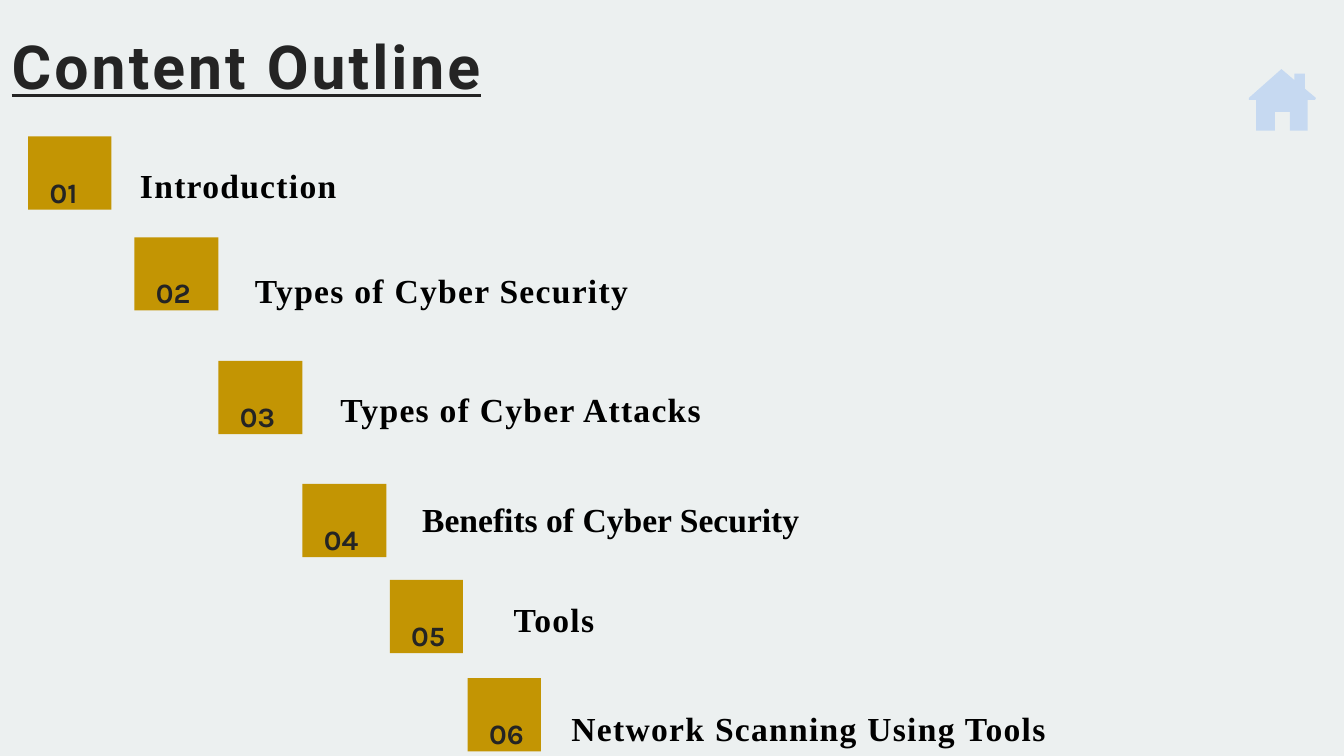
import pptx
import pptx.dml.color
import pptx.enum.shapes
import pptx.enum.text
import pptx.util

Pt = pptx.util.Pt
BACKGROUND = "ECF0F0"
GOLD = "C39503"
DARK = "242424"
PALE_BLUE = "C6D9F1"
BADGE_HEIGHT = 78.5

# badge left, top, width; label left, top, width, height, inset (left, top),
# line spacing, letter spacing; text
ITEMS = [
    ((30.2, 146.2, 89.3), (149, 154.8, 511, 57.6), (1, 0), 1.5, 1.4,
     "Introduction"),
    ((144, 254.2, 90), (272.2, 267.8, 511, 57.6), (1, 0), 1.5, 1.4,
     "Types of Cyber Security"),
    ((234, 386.6, 90), (363.6, 394.6, 481, 58.3), (1, 0.7), 1.5, 1.4,
     "Types of Cyber Attacks"),
    ((324, 518.4, 90), (451.4, 533.5, 414.7, 87.8), (1, 0.7), 1, 0,
     "Benefits of Cyber Security"),
    ((417.6, 621.4, 78.5), (549.4, 640.8, 152.6, 84.2), (1, 0.7), 1, 1.4,
     "Tools"),
    ((501.1, 726.5, 78.5), (604.1, 733.7, 542.2, 64.8), (8.2, 3.6), 1.5, 1.4,
     "Network Scanning Using Tools"),
]

HOUSE = [
    (1401.1, 139.7), (1381.7, 139.7), (1381.7, 120.2), (1365.8, 120.2),
    (1365.8, 139.7), (1346.4, 139.7), (1346.4, 106.6), (1338.5, 106.6),
    (1337.8, 105.1), (1373.4, 74.2), (1386.7, 85.7), (1386.7, 79.2),
    (1397.5, 79.2), (1397.5, 95), (1409.8, 105.1), (1409, 106.6),
    (1401.1, 106.6),
]


def color(hex_string):
    return pptx.dml.color.RGBColor.from_string(hex_string)


def paint(s, fill):
    s.shadow.inherit = False
    s.fill.solid()
    s.fill.fore_color.rgb = color(fill)
    s.line.fill.background()


def write(s, text, font, size, fill, inset, spacing=0):
    """Fill a shape with one bold line of text, and return its paragraph."""
    tf = s.text_frame
    tf.word_wrap = True
    tf.vertical_anchor = pptx.enum.text.MSO_ANCHOR.TOP
    tf.margin_left, tf.margin_top = (Pt(v) for v in inset)
    tf.margin_right = tf.margin_bottom = 0
    p = tf.paragraphs[0]
    p.alignment = pptx.enum.text.PP_ALIGN.LEFT
    p.font.name = font
    p.font.size = Pt(size)
    p.font.bold = True
    p.font.color.rgb = color(fill)
    r = p.add_run()
    r.text = text
    if spacing:
        r.font._element.set("spc", str(round(spacing * 100)))
    return p


def add_title(slide, text):
    s = slide.shapes.add_textbox(Pt(11.5), Pt(28.8), Pt(746), Pt(81.4))
    p = write(s, text, "Roboto", 65, DARK, (1, 5), 3.3)
    p.font.underline = True
    p.line_spacing = Pt(75)
    p.space_before = Pt(5)


def add_badge(slide, number, left, top, width):
    s = slide.shapes.add_shape(
        pptx.enum.shapes.MSO_SHAPE.RECTANGLE,
        Pt(left), Pt(top), Pt(width), Pt(BADGE_HEIGHT))
    paint(s, GOLD)
    write(s, f"{number:02}", "Karla", 30, DARK, (23, 41.5))


def add_label(slide, text, box, inset, line_spacing, spacing):
    s = slide.shapes.add_textbox(*(Pt(v) for v in box))
    p = write(s, text, "Times New Roman", 36, "000000", inset, spacing)
    p.line_spacing = line_spacing
    p.space_before = Pt(1)
    s.text_frame.auto_size = pptx.enum.text.MSO_AUTO_SIZE.SHAPE_TO_FIT_TEXT


def add_house(slide):
    builder = slide.shapes.build_freeform(*HOUSE[0], scale=Pt(1))
    builder.add_line_segments(HOUSE[1:], close=True)
    paint(builder.convert_to_shape(), PALE_BLUE)


def main():
    prs = pptx.Presentation()
    prs.slide_width, prs.slide_height = Pt(1440), Pt(810)
    slide = prs.slides.add_slide(prs.slide_layouts[6])
    slide.background.fill.solid()
    slide.background.fill.fore_color.rgb = color(BACKGROUND)

    add_title(slide, "Content Outline")
    for number, (badge, box, inset, lines, spacing, text) in enumerate(ITEMS, 1):
        add_badge(slide, number, *badge)
        add_label(slide, text, box, inset, lines, spacing)
    add_house(slide)
    prs.save("out.pptx")


if __name__ == "__main__":
    main()
